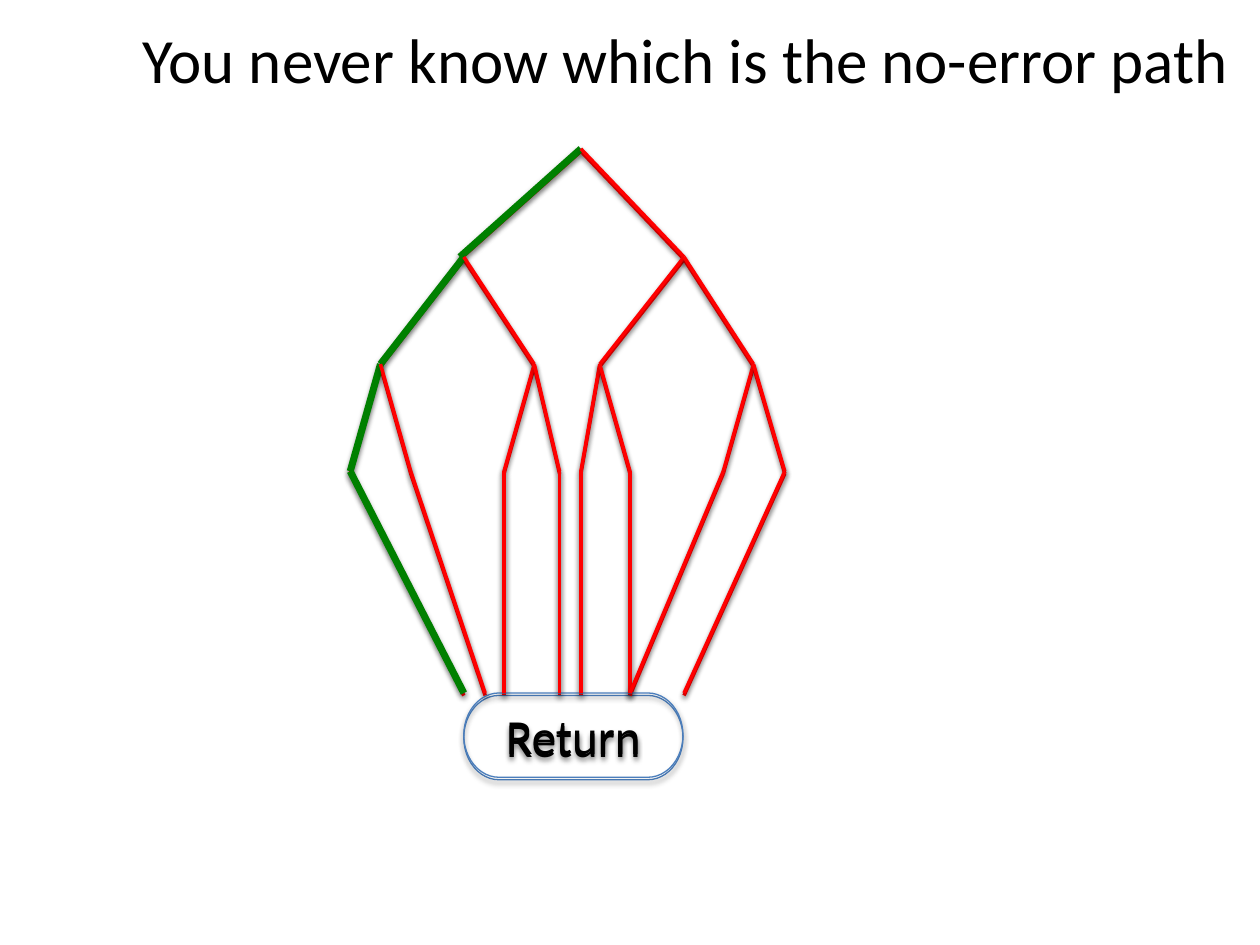
from lxml.etree import SubElement
from pptx import Presentation
from pptx.dml.color import RGBColor
from pptx.enum.shapes import MSO_CONNECTOR, MSO_SHAPE
from pptx.enum.text import MSO_ANCHOR, PP_ALIGN
from pptx.oxml.ns import qn
from pptx.util import Cm, Pt

RED, GREEN, BLUE, BLACK = "FF0000", "008000", "4B7EBC", "000000"
ROWS = [3.05, 5.23, 7.39, 9.55, 14.02]
FORKS = [
    ([11.71], [9.27, 13.79]),
    ([9.35, 13.79], [7.67, 10.77, 12.09, 15.19]),
    ([7.67, 10.77, 12.09, 15.19],
     [7.06, 8.28, 10.16, 11.28, 11.71, 12.7, 14.58, 15.82]),
]
LEAVES = FORKS[-1][1]
EXITS = [9.35, 9.78, 10.16, 11.28, 11.71, 12.7, 12.7, 13.79]


def color(code):
    """Turn a hex string into a colour."""
    return RGBColor.from_string(code)


def shade(shape, dist, alpha):
    """Give a shape a soft shadow that falls straight down."""
    props = shape._element.spPr
    effects = props.find(qn("a:effectLst"))
    if effects is None:
        effects = SubElement(props, qn("a:effectLst"))
    shadow = SubElement(effects, qn("a:outerShdw"), blurRad="40000",
                        dist=str(dist), dir="5400000", rotWithShape="0")
    tone = SubElement(shadow, qn("a:srgbClr"), val=BLACK)
    SubElement(tone, qn("a:alpha"), val=str(alpha * 1000))


def write(shape, text, size=28, font="Calibri", tint=BLACK):
    """Put centred text into a shape."""
    frame = shape.text_frame
    frame.word_wrap = True
    frame.vertical_anchor = MSO_ANCHOR.MIDDLE
    para = frame.paragraphs[0]
    para.alignment = PP_ALIGN.CENTER
    run = para.add_run()
    run.text = text
    run.font.size = Pt(size)
    run.font.name = font
    run.font.color.rgb = color(tint)


def branch(group, start, end, main):
    """Draw one branch, thick and green on the main path."""
    line = group.shapes.add_connector(
        MSO_CONNECTOR.STRAIGHT, *(Cm(n) for n in start + end))
    line.line.color.rgb = color(GREEN if main else RED)
    line.line.width = Pt(4 if main else 2)
    shade(line, 20000, 38)


def finish(group, top):
    """Draw the return box where all branches meet."""
    box = group.shapes.add_shape(MSO_SHAPE.FLOWCHART_TERMINATOR,
                                 Cm(9.35), Cm(top), Cm(4.42), Cm(1.7))
    box.fill.background()
    box.line.color.rgb = color(BLUE)
    box.line.width = Pt(0.75)
    box.shadow.inherit = False
    shade(box, 23000, 35)
    write(box, "Return")


def tree(slide, lift=0, marked=False):
    """Draw the tree of paths, with the leftmost path marked if asked."""
    group = slide.shapes.add_group_shape()
    rows = [row - lift for row in ROWS]
    for (starts, ends), top, low in zip(FORKS, rows, rows[1:]):
        for i, end in enumerate(ends):
            branch(group, (starts[i // 2], top), (end, low),
                   marked and i == 0)
    finish(group, rows[-1])
    for i, (leaf, gate) in enumerate(zip(LEAVES, EXITS)):
        branch(group, (gate, rows[-1]), (leaf, rows[-2]),
               marked and i == 0)


def main():
    """Build and save the slide."""
    deck = Presentation()
    deck.slide_width, deck.slide_height = Cm(25.4), Cm(19.05)
    slide = deck.slides.add_slide(deck.slide_layouts[6])
    tree(slide)
    tree(slide, lift=0.05, marked=True)
    title = slide.shapes.add_textbox(Cm(0.74), Cm(-0.41), Cm(26.16), Cm(3.18))
    write(title, "You never know which is the no-error path", size=36)
    deck.save("out.pptx")


if __name__ == "__main__":
    main()
